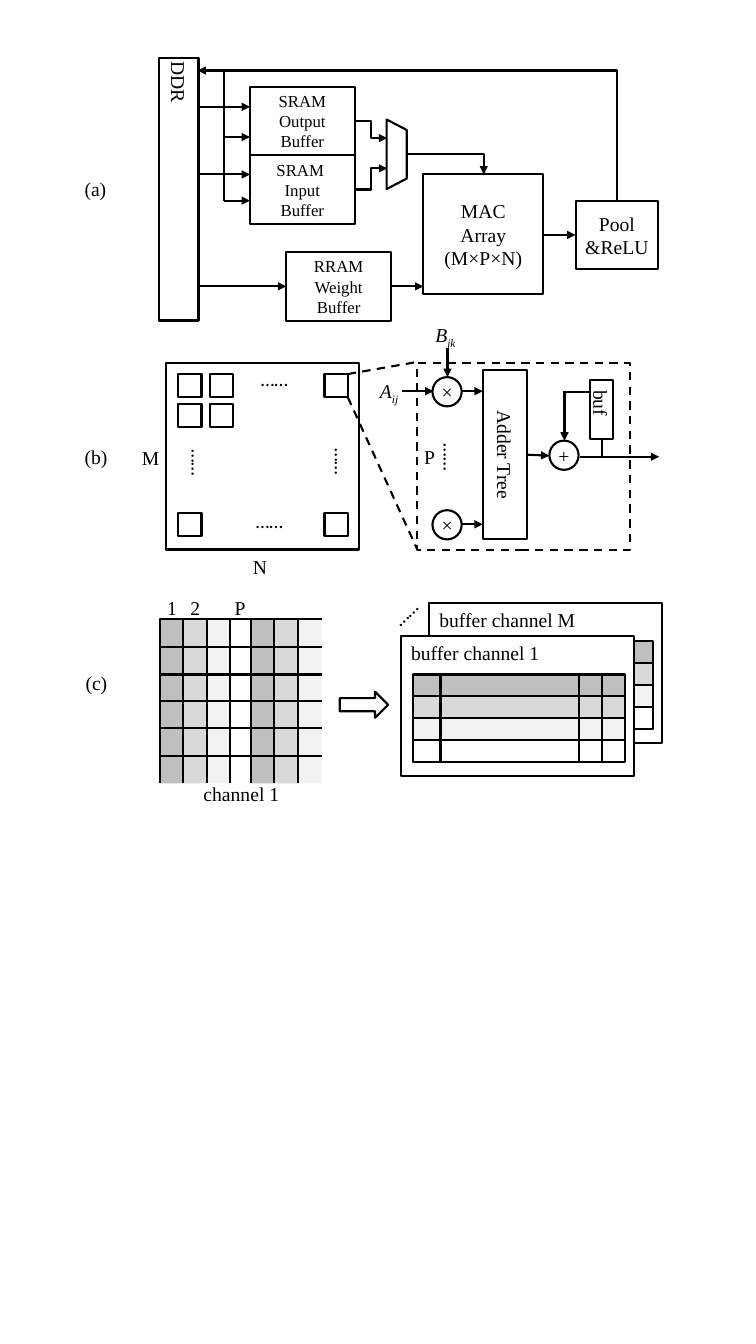
import pptx
import pptx.util
import pptx.dml.color
import pptx.enum.dml
import pptx.enum.shapes
import pptx.enum.text
import pptx.oxml.ns
import lxml.etree

Inches = pptx.util.Inches
KINDS = pptx.enum.shapes.MSO_SHAPE
LINKS = pptx.enum.shapes.MSO_CONNECTOR
ALIGN = pptx.enum.text.PP_ALIGN
ANCHOR = pptx.enum.text.MSO_ANCHOR
FIT = pptx.enum.text.MSO_AUTO_SIZE
DASH = pptx.enum.dml.MSO_LINE.DASH

THEME = {
    "ink": "000000", "paper": "FFFFFF", "line": 1.5,
    "shades": ["BFBFBF", "D9D9D9", "F2F2F2", "FFFFFF"],
    "serif": "Times New Roman", "dots": "Calibri", "body": 14, "small": 12,
}
TIGHT = (0.06, 0.03)
NORMAL = (0.1, 0.05)
DOTS = "……"

# Panel (a): accelerator blocks as (place, lines, size)
BLOCKS = [
    ((2.48, 1.54, 1.04, 0.68), ["SRAM ", "Input", "Buffer"], "small"),
    ((2.84, 2.5, 1.04, 0.68), ["RRAM Weight", "Buffer"], "small"),
    ((2.48, 0.86, 1.04, 0.68), ["SRAM Output", "Buffer"], "small"),
    ((4.2, 1.73, 1.19, 1.19), ["MAC", "Array", "(M×P×N)"], "body"),
    ((5.71, 1.99, 0.82, 0.68), ["Pool", "&ReLU"], "body"),
]
DDR = (1.58, 0.58, 0.39, 2.6)
MULTIPLEXER = (3.59, 1.43, 0.69, 0.2)
DATA_ARROWS = [
    (3.88, 2.84, 4.2, 2.84), (5.39, 2.33, 5.71, 2.33), (1.96, 2.84, 2.84, 2.84),
    (1.96, 1.06, 2.48, 1.06), (1.96, 1.73, 2.48, 1.73),
    (2.22, 1.36, 2.48, 1.36), (2.22, 1.99, 2.48, 1.99),
]
MUX_INPUTS = [(3.52, 1.2, 3.84, 1.37), (3.52, 1.88, 3.84, 1.67)]
MUX_OUTPUT = (4.04, 1.53, 4.8, 1.73)
FEEDBACK = (6.12, 1.99, 1.96, 0.7)
FEEDBACK_BRANCH = (2.22, 0.7, 2.22, 1.99)

# Panel (b): array of units and one unit enlarged
ARRAY = (1.65, 3.6, 1.91, 1.85)
UNIT = 0.23
UNIT_CORNERS = [(1.77, 3.71), (2.08, 3.71), (3.22, 3.71), (1.77, 4.01),
                (2.08, 4.01), (1.77, 5.09), (3.22, 5.09)]
ZOOM = (4.14, 3.6, 2.11, 1.86)
ZOOM_EDGES = [(3.45, 3.71, 4.14, 3.59), (3.45, 3.94, 4.14, 5.45)]
OPERATORS = [("×", 4.29, 3.74), ("×", 4.29, 5.06), ("+", 5.45, 4.37)]
OPERATOR = 0.29
ADDER_TREE = (4.17, 4.29, 1.68, 0.44)
BUF = (5.85, 3.77, 0.23, 0.58)
UNIT_ARROWS = [
    (4.58, 3.88, 4.79, 3.88), (4.58, 5.2, 4.79, 5.2), (5.23, 4.51, 5.45, 4.52),
    (5.75, 4.53, 6.54, 4.53), (5.6, 3.88, 5.6, 4.37), (3.99, 3.88, 4.3, 3.88),
    (4.44, 3.45, 4.44, 3.74),
]
UNIT_LINES = [(5.6, 3.89, 5.91, 3.89), (5.97, 4.36, 5.97, 4.53)]

# Panel (c): channel grid and buffer cards
COLUMN_EDGES = [1.59, 1.82, 2.05, 2.28, 2.49, 2.72, 2.96, 3.19]
GRID_TOP, GRID_END, TAIL_END = 6.14, 7.5, 7.77
GRID_LINES = [6.14, 6.42, 6.69, 6.95, 7.22]
CARDS = [("buffer channel M", 4.26, 5.98), ("buffer channel 1", 3.98, 6.31)]
CARD_SIZE = (2.31, 1.39)
ROW_INSET, ROW_SIZE, ROW_STEP = (0.12, 0.38), (2.1, 0.22), 0.217
CARD_DIVIDERS = [4.37, 5.74, 5.97]
WIDE_ARROW = (3.37, 6.86, 0.48, 0.26)

# Labels as (text, left, top, width) and dots as (left, top, rotation)
LABELS = [
    ("(a)", 0.74, 1.71, 0.45), ("(b)", 0.74, 4.36, 0.45), ("(c)", 0.75, 6.61, 0.45),
    ("M", 1.31, 4.37, 0.38), ("N", 2.41, 5.45, 0.38), ("P", 4.11, 4.36, 0.38),
    ("channel 1", 1.92, 7.71, 0.95), ("1", 1.56, 5.86, 0.38),
    ("2", 1.79, 5.86, 0.38), ("P", 2.23, 5.86, 0.38),
]
OPERANDS = [("A", "ij", 3.67, 3.71, 0.39), ("B", "jk", 4.22, 3.15, 0.42)]
ELLIPSES = [(2.49, 3.59, 0), (2.44, 5, 0), (1.7, 4.46, 90), (3.12, 4.45, 90),
            (4.2, 4.41, 90), (3.77, 5.88, 315)]
LABEL_HEIGHT = 0.34


def apply(target, values):
    """Set each named attribute on the target."""
    for name, value in values.items():
        setattr(target, name, value)


def color(code):
    """Turn a hex code into a color."""
    return pptx.dml.color.RGBColor.from_string(code)


def ink_line(line, dashed=False):
    """Give a line the common color and width."""
    line.color.rgb = color(THEME["ink"])
    line.width = pptx.util.Pt(THEME["line"])
    if dashed:
        line.dash_style = DASH


def write(frame, lines, size="body", font="serif", align=None, inset=NORMAL, **layout):
    """Write lines into a frame; a tuple is a base letter with its subscript."""
    across, down = map(Inches, inset)
    apply(frame, {"word_wrap": True, "margin_left": across, "margin_right": across,
                  "margin_top": down, "margin_bottom": down, **layout})
    for index, line in enumerate(lines):
        para = frame.add_paragraph() if index else frame.paragraphs[0]
        para.alignment = align
        symbol = isinstance(line, tuple)
        for place, text in enumerate(line if symbol else [line]):
            span = para.add_run()
            span.text = text
            span.font.color.rgb = color(THEME["ink"])
            apply(span.font, {"name": THEME[font], "size": pptx.util.Pt(THEME[size]),
                              "italic": symbol or None})
            if place:
                span.font._element.set("baseline", "-25000")


def draw(place, kind=KINDS.RECTANGLE, fill="FFFFFF", outline=True, dashed=False, rotation=0):
    """Draw a preset shape."""
    box = slide.shapes.add_shape(kind, *map(Inches, place))
    box.shadow.inherit = False
    box.rotation = rotation
    if fill:
        box.fill.solid()
        box.fill.fore_color.rgb = color(fill)
    else:
        box.fill.background()
    if outline:
        ink_line(box.line, dashed)
    else:
        box.line.fill.background()
    return box


def fill_center(box, lines, vertical=False, **style):
    """Write centered text in a shape, turned downward if vertical."""
    write(box.text_frame, lines, align=ALIGN.CENTER, vertical_anchor=ANCHOR.MIDDLE, **style)
    if vertical:
        box.text_frame._txBody.bodyPr.set("vert", "eaVert")


def link(ends, arrow=False, dashed=False, kind=LINKS.STRAIGHT, preset=None):
    """Connect two points, with an arrowhead at the second if asked."""
    line = slide.shapes.add_connector(kind, *map(Inches, ends))
    ink_line(line.line, dashed)
    properties = line._element.spPr
    if arrow:
        head = lxml.etree.SubElement(line.line._get_or_add_ln(), pptx.oxml.ns.qn("a:tailEnd"))
        head.set("type", "triangle")
    lxml.etree.SubElement(properties, pptx.oxml.ns.qn("a:effectLst"))
    if preset:
        properties.find(pptx.oxml.ns.qn("a:prstGeom")).set("prst", preset)
    return line


def link_up_then_left(ends):
    """Connect upward then leftward by turning a one-bend connector."""
    x1, y1, x2, y2 = ends
    middle_x, middle_y = (x1 + x2) / 2, (y1 + y2) / 2
    half_x, half_y = (y1 - y2) / 2, (x1 - x2) / 2
    line = link((middle_x - half_x, middle_y + half_y, middle_x + half_x, middle_y - half_y),
                arrow=True, kind=LINKS.ELBOW, preset="bentConnector2")
    line._element.spPr.find(pptx.oxml.ns.qn("a:xfrm")).set("rot", "16200000")


def label(text, left, top, width, rotation=0, wrap=True, font="serif"):
    """Add a free text label."""
    box = slide.shapes.add_textbox(*map(Inches, (left, top, width, LABEL_HEIGHT)))
    box.rotation = rotation
    write(box.text_frame, [text], font=font, word_wrap=wrap, auto_size=FIT.SHAPE_TO_FIT_TEXT)


def draw_accelerator():
    """Draw panel (a)."""
    for place, lines, size in BLOCKS:
        fill_center(draw(place), lines, size=size, inset=TIGHT)
    fill_center(draw(DDR), ["DDR"], vertical=True, inset=TIGHT)
    draw(MULTIPLEXER, KINDS.TRAPEZOID, rotation=90).adjustments[0] = 0.52
    for ends in DATA_ARROWS:
        link(ends, arrow=True)
    for ends in MUX_INPUTS:
        link(ends, arrow=True, kind=LINKS.ELBOW)
    link(MUX_OUTPUT, arrow=True, kind=LINKS.ELBOW, preset="bentConnector2")
    link_up_then_left(FEEDBACK)
    link(FEEDBACK_BRANCH)


def draw_array():
    """Draw panel (b)."""
    draw(ZOOM, fill=None, dashed=True)
    draw(ARRAY, fill=None)
    for left, top in UNIT_CORNERS:
        draw((left, top, UNIT, UNIT))
    for sign, left, top in OPERATORS:
        circle = draw((left, top, OPERATOR, OPERATOR), KINDS.OVAL, fill=None)
        fill_center(circle, [sign], inset=(0, 0))
    fill_center(draw(ADDER_TREE, rotation=90), ["Adder Tree"])
    for ends in UNIT_ARROWS:
        link(ends, arrow=True)
    for ends in UNIT_LINES:
        link(ends)
    for ends in ZOOM_EDGES:
        link(ends, dashed=True)
    fill_center(draw(BUF), ["buf"], vertical=True)


def draw_channels():
    """Draw panel (c)."""
    shades = THEME["shades"]
    columns = list(zip(COLUMN_EDGES, COLUMN_EDGES[1:]))
    for index, (left, right) in reversed(list(enumerate(columns))):
        shade = shades[index % len(shades)]
        draw((left, GRID_END, right - left, TAIL_END - GRID_END), fill=shade, outline=False)
        draw((left, GRID_TOP, right - left, GRID_END - GRID_TOP), fill=shade,
             outline=index < len(columns) - 1)
    for left, _ in columns:
        link((left, GRID_END, left, TAIL_END))
    for top in GRID_LINES:
        link((COLUMN_EDGES[0], top, COLUMN_EDGES[-1], top))
    link((*[COLUMN_EDGES[-2], GRID_END], *[COLUMN_EDGES[-1], GRID_END]))
    draw(WIDE_ARROW, KINDS.RIGHT_ARROW)
    for title, left, top in CARDS:
        card = draw((left, top, *CARD_SIZE))
        write(card.text_frame, [title], align=ALIGN.LEFT, vertical_anchor=ANCHOR.TOP)
        row_left, row_top = left + ROW_INSET[0], top + ROW_INSET[1]
        for index, shade in enumerate(shades):
            draw((row_left, row_top + index * ROW_STEP, *ROW_SIZE), fill=shade)
    for across in CARD_DIVIDERS:
        link((across, row_top, across, row_top + len(shades) * ROW_STEP))


deck = pptx.Presentation()
apply(deck, {"slide_width": Inches(7.5), "slide_height": Inches(13.33)})
slide = deck.slides.add_slide(deck.slide_layouts[6])
draw_accelerator()
draw_array()
draw_channels()
for entry in LABELS:
    label(*entry)
for base, subscript, left, top, width in OPERANDS:
    label((base, subscript), left, top, width, wrap=False)
for left, top, rotation in ELLIPSES:
    label(DOTS, left, top, 0.55, rotation, font="dots")
deck.save("out.pptx")
